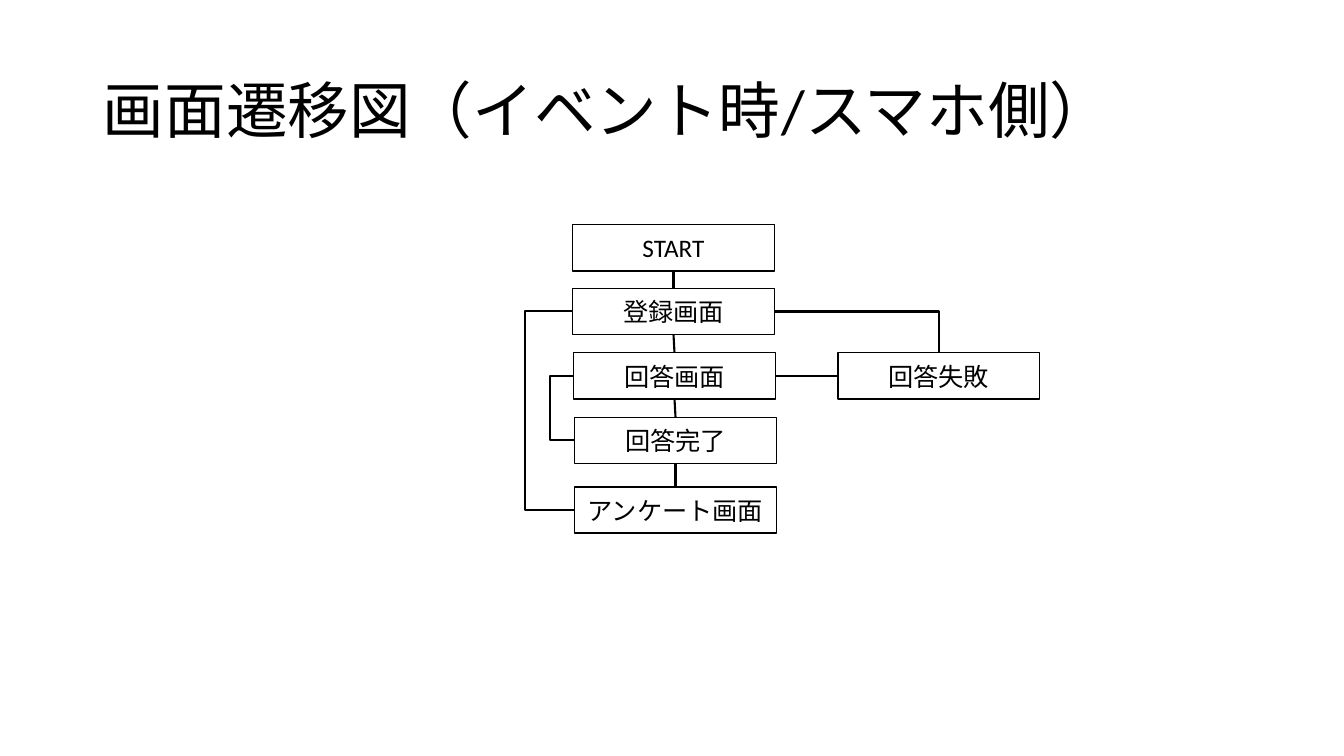
import pptx
import pptx.util
import pptx.dml.color
import pptx.enum.shapes
import pptx.enum.text
import pptx.oxml
import pptx.oxml.ns

Inches = pptx.util.Inches
Pt = pptx.util.Pt
BLACK = pptx.dml.color.RGBColor(0, 0, 0)
Link = pptx.enum.shapes.MSO_CONNECTOR
Align = pptx.enum.text.PP_ALIGN
Anchor = pptx.enum.text.MSO_ANCHOR
TOP, LEFT, BOTTOM, RIGHT = range(4)


class Chart:
    def __init__(self, deck):
        self.slide = deck.slides.add_slide(deck.slide_layouts[5])
        self.shapes = self.slide.shapes
        self.font = {"name": "Calibri"}

    def label(self, shape, text, size, align):
        frame = shape.text_frame
        frame.text = text
        frame.word_wrap = True
        frame.vertical_anchor = Anchor.MIDDLE
        line = frame.paragraphs[0]
        line.alignment = align
        font = line.runs[0].font
        for key, value in {**self.font, "size": Pt(size)}.items():
            setattr(font, key, value)
        font.color.rgb = BLACK
        return line

    def title(self, text):
        shape = self.shapes.title
        place = {"left": 0.92, "top": 0.4, "width": 11.5, "height": 1.45}
        for key, value in place.items():
            setattr(shape, key, Inches(value))
        self.label(shape, text, 44, Align.LEFT).line_spacing = 0.9

    def box(self, text, left, top):
        shape = self.shapes.add_shape(
            pptx.enum.shapes.MSO_SHAPE.RECTANGLE,
            Inches(left), Inches(top), Inches(2), Inches(0.46))
        shape.shadow.inherit = False
        shape.fill.background()
        shape.line.color.rgb = BLACK
        shape.line.width = Pt(1)
        self.label(shape, text, 18, Align.CENTER)
        return shape

    def link(self, start, out, end, into, kind=Link.STRAIGHT):
        line = self.shapes.add_connector(kind, 0, 0, 0, 0)
        line.begin_connect(start, out)
        line.end_connect(end, into)
        line.line.color.rgb = BLACK
        line.line.width = Pt(1.5)
        props = line._element.spPr
        props.append(props.makeelement(pptx.oxml.ns.qn("a:effectLst"), {}))
        return line

    def loop(self, start, end, side):
        line = self.link(start, LEFT, end, LEFT, Link.ELBOW)
        ratio = (line.begin_x - Inches(side)) / (line.begin_x - line.end_x)
        shape = line._element.spPr.prstGeom
        shape.get_or_add_avLst().append(shape.makeelement(
            pptx.oxml.ns.qn("a:gd"),
            {"name": "adj1", "fmla": f"val {round(ratio * 100000)}"}))

    def corner(self, start, end):
        line = self.link(start, RIGHT, end, TOP, Link.ELBOW)
        line._element.spPr.prstGeom.set("prst", "bentConnector2")


def main():
    deck = pptx.Presentation()
    deck.slide_width = Inches(13.33)
    deck.slide_height = Inches(7.5)
    chart = Chart(deck)
    chart.title("画面遷移図（イベント時/スマホ側）")
    steps = [
        chart.box(*step) for step in (
            ("START", 5.68, 2.23),
            ("登録画面", 5.68, 2.86),
            ("回答画面", 5.69, 3.5),
            ("回答完了", 5.7, 4.14),
            ("アンケート画面", 5.7, 4.83),
        )
    ]
    start, entry, reply, done, survey = steps
    fail = chart.box("回答失敗", 8.31, 3.5)
    for upper, lower in zip(steps, steps[1:]):
        chart.link(upper, BOTTOM, lower, TOP)
    chart.link(reply, RIGHT, fail, LEFT)
    chart.corner(entry, fail)
    chart.loop(done, reply, 5.45)
    chart.loop(survey, entry, 5.21)
    deck.save("out.pptx")


if __name__ == "__main__":
    main()
